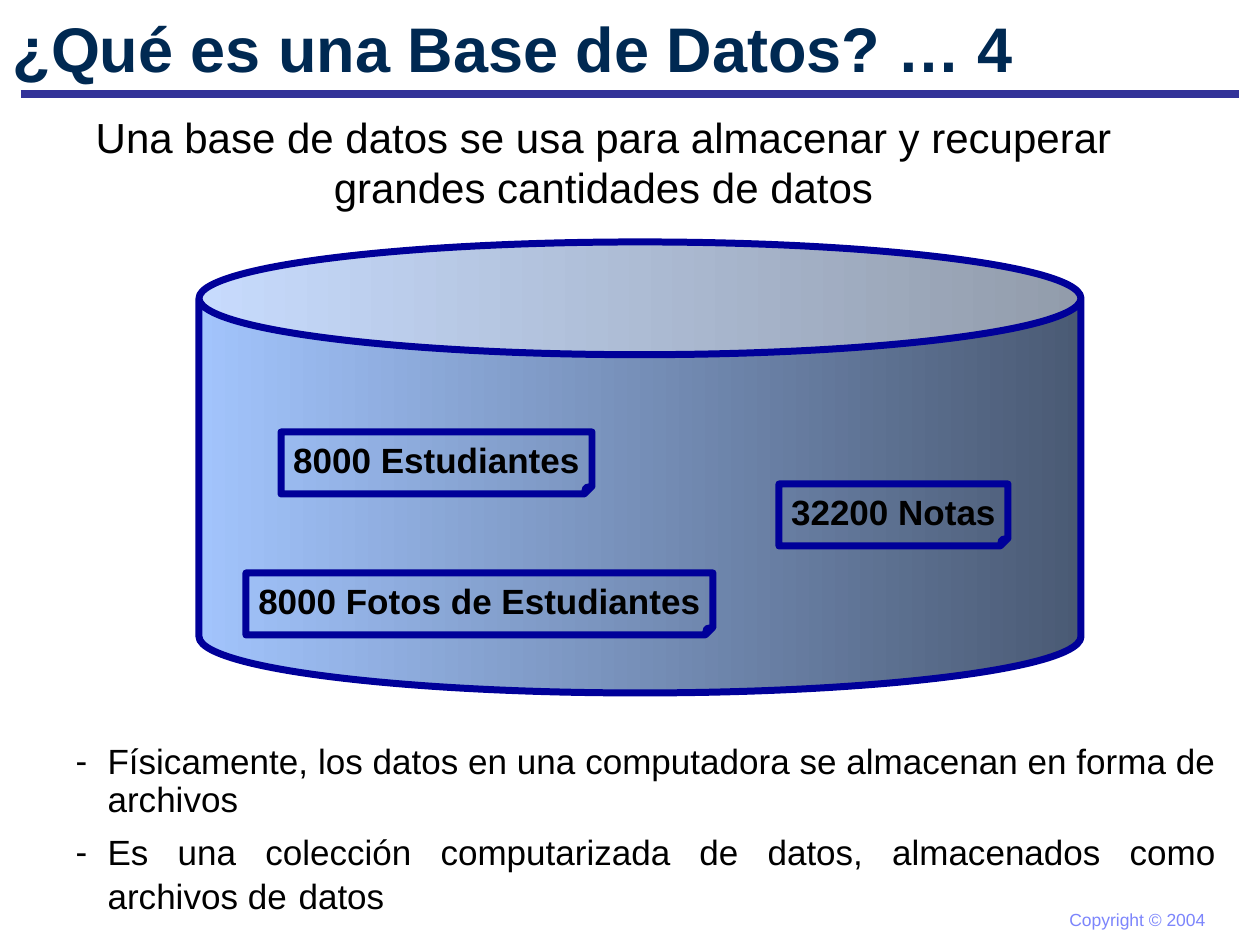
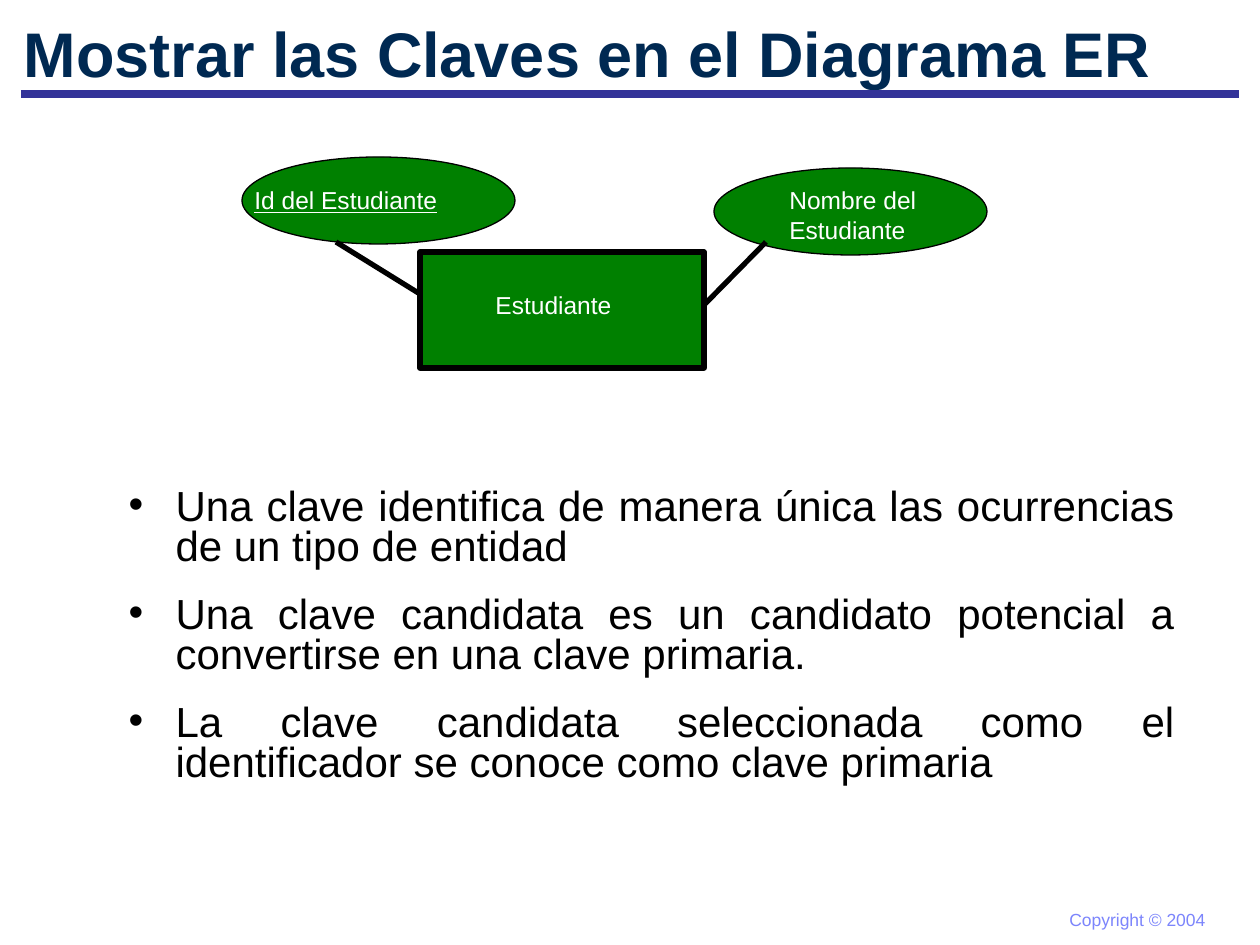
from lxml import etree
from pptx import Presentation
from pptx.dml.color import RGBColor
from pptx.enum.shapes import MSO_CONNECTOR, MSO_SHAPE as SHAPE
from pptx.enum.text import MSO_ANCHOR as ANCHOR, MSO_AUTO_SIZE, PP_ALIGN as ALIGN
from pptx.oxml.ns import qn
from pptx.util import Pt

EMU_PER_PX = 914400 / 126
SLIDE_SIZE = (1260, 945)
FONT = "Arial"
BLACK, WHITE = "000000", "FFFFFF"
TITLE_BLUE, RULE_BLUE, COPYRIGHT_BLUE = "002952", "333399", "7C85FC"
STORE_BLUE, STORE_DARK, STORE_LIGHT = "000099", "4A5A74", "A2C4FC"
ENTITY_GREEN = "008000"


def px(length):
    return int(length * EMU_PER_PX)


def box(area):
    return [px(length) for length in area]


def color(value):
    return RGBColor.from_string(value)


def add_run(paragraph, text, size, ink=BLACK, bold=False, underline=False):
    run = paragraph.add_run()
    run.text = text
    font = run.font
    font.name, font.size, font.bold = FONT, Pt(size), bold
    font.underline = underline
    font.color.rgb = color(ink)


def prepare_frame(shape, anchor=ANCHOR.TOP, wrap=True):
    frame = shape.text_frame
    frame.auto_size = MSO_AUTO_SIZE.NONE
    frame.word_wrap = wrap
    frame.vertical_anchor = anchor
    return frame


def place(placeholder, area):
    placeholder.left, placeholder.top, placeholder.width, placeholder.height = box(area)


def add_text(slide, area, text, size, ink=BLACK, align=ALIGN.LEFT, wrap=True, underline=False):
    frame = prepare_frame(slide.shapes.add_textbox(*box(area)), wrap=wrap)
    paragraph = frame.paragraphs[0]
    paragraph.alignment = align
    add_run(paragraph, text, size, ink, underline=underline)


def add_line(slide, start, end, ink, width):
    line = slide.shapes.add_connector(MSO_CONNECTOR.STRAIGHT, *box(start + end))
    line.line.color.rgb = color(ink)
    line.line.width = Pt(width)
    etree.SubElement(line._element.spPr, qn("a:effectLst"))


def add_outlined(slide, kind, area, ink, width, fill=None):
    shape = slide.shapes.add_shape(kind, *box(area))
    shape.shadow.inherit = False
    shape.line.color.rgb = color(ink)
    shape.line.width = Pt(width)
    if fill:
        shape.fill.solid()
        shape.fill.fore_color.rgb = color(fill)
    else:
        shape.fill.background()
    return shape


def add_data_store(slide, area):
    store = add_outlined(slide, SHAPE.CAN, area, STORE_BLUE, 4)
    store.fill.gradient()
    store.fill.gradient_angle = 180
    for stop, position, shade in zip(store.fill.gradient_stops, (0, 1), (STORE_DARK, STORE_LIGHT)):
        stop.position = position
        stop.color.rgb = color(shade)


def add_record(slide, area, text):
    record = add_outlined(slide, SHAPE.FOLDED_CORNER, area, STORE_BLUE, 4)
    # Fold size: an eighth of the height
    folds = next(record._element.spPr.iter(qn("a:avLst")))
    etree.SubElement(folds, qn("a:gd"), name="adj", fmla="val 12500")
    paragraph = prepare_frame(record, ANCHOR.MIDDLE, wrap=False).paragraphs[0]
    paragraph.alignment = ALIGN.CENTER
    add_run(paragraph, text, 20, bold=True)


def add_bullets(slide, area, items, mark, indent, spacing, gap):
    """Each item is a list of (text, size) runs."""
    body = slide.placeholders[1]
    place(body, area)
    frame = prepare_frame(body)
    for number, runs in enumerate(items):
        paragraph = frame.add_paragraph() if number else frame.paragraphs[0]
        properties = paragraph._p.get_or_add_pPr()
        properties.set("marL", str(px(indent)))
        properties.set("indent", str(-px(indent)))
        etree.SubElement(properties, qn("a:buChar"), char=mark)
        paragraph.alignment = ALIGN.JUSTIFY
        paragraph.line_spacing = spacing
        paragraph.space_before = Pt(gap if number else 0)
        for text, size in runs:
            add_run(paragraph, text, size)


def new_slide(deck, title, title_area, align):
    """Slide with the shared title style, rule and copyright line."""
    slide = deck.slides.add_slide(deck.slide_layouts[1])
    add_line(slide, (21, 94), (1239, 94), RULE_BLUE, 4.5)
    add_text(slide, (1057, 903, 161, 34), "Copyright © 2004", 10, COPYRIGHT_BLUE, wrap=False)
    place(slide.shapes.title, title_area)
    heading = prepare_frame(slide.shapes.title, ANCHOR.MIDDLE).paragraphs[0]
    heading.alignment = align
    add_run(heading, title, 36, TITLE_BLUE, bold=True)
    return slide


def build_database_slide(deck):
    slide = new_slide(deck, "¿Qué es una Base de Datos? … 4", (0, 0, 1071, 94), ALIGN.LEFT)
    add_text(slide, (63, 105, 1081, 126),
             "Una base de datos se usa para almacenar y recuperar grandes cantidades de datos",
             24, align=ALIGN.CENTER)

    # Database and its records
    add_data_store(slide, (199, 242, 882, 451))
    for left, top, width, text in (
        (281, 432, 311, "8000 Estudiantes"),
        (246, 573, 467, "8000 Fotos de Estudiantes"),
        (779, 484, 229, "32200 Notas"),
    ):
        add_record(slide, (left, top, width, 62), text)

    # Explanation
    add_bullets(slide, (63, 738, 1166, 186), [
        [("Físicamente, los datos en una computadora se almacenan en forma de archivos", 20)],
        [("Es una colección computarizada de datos, almacenados como archivos de", 20),
         (" ", 24), ("datos", 20)],
    ], "-", indent=32, spacing=0.9, gap=8.8)


def build_keys_slide(deck):
    slide = new_slide(deck, "Mostrar las Claves en el Diagrama ER", (10, 10, 1155, 84), ALIGN.CENTER)

    # Entity with its two attributes
    add_outlined(slide, SHAPE.RECTANGLE, (420, 252, 284, 116), BLACK, 3, ENTITY_GREEN)
    for left, top in ((242, 157), (714, 168)):
        add_outlined(slide, SHAPE.OVAL, (left, top, 273, 87), BLACK, 0.75, ENTITY_GREEN)
    add_line(slide, (420, 294), (336, 242), BLACK, 3)
    add_line(slide, (704, 305), (766, 242), BLACK, 3)
    for area, name, is_key in (
        ((242, 179, 242, 43), "Id del Estudiante", True),
        ((483, 284, 158, 43), "Estudiante", False),
        ((777, 179, 189, 72), "Nombre del Estudiante", False),
    ):
        add_text(slide, area, name, 14, WHITE, underline=is_key)

    # Definitions
    definitions = (
        "Una clave identifica de manera única las ocurrencias de un tipo de entidad",
        "Una clave candidata es un candidato potencial a convertirse en una clave primaria.",
        "La clave candidata seleccionada como el identificador se conoce como clave primaria",
    )
    add_bullets(slide, (116, 483, 1071, 410), [[(text, 24)] for text in definitions],
                "•", indent=47, spacing=0.8, gap=15.5)


def main():
    deck = Presentation()
    deck.slide_width, deck.slide_height = box(SLIDE_SIZE)
    build_database_slide(deck)
    build_keys_slide(deck)
    deck.save("out.pptx")


if __name__ == "__main__":
    main()
